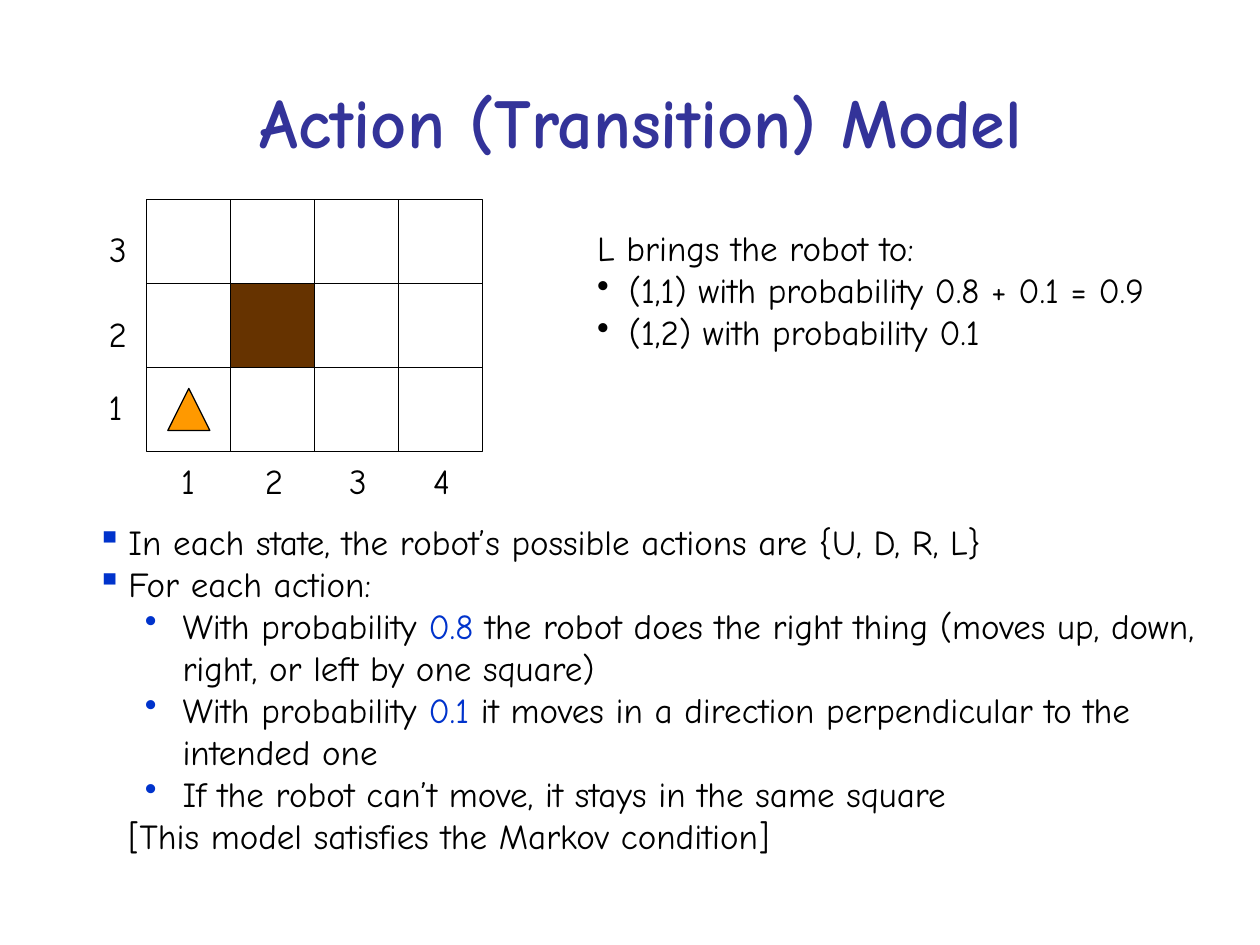
from dataclasses import dataclass
from typing import Any

from lxml import etree
from pptx import Presentation
from pptx.dml import color
from pptx.enum import shapes, text
from pptx.oxml import ns
from pptx.util import Cm, Pt


@dataclass(frozen=True)
class Theme:
    face: str = "Comic Neue"
    title_size: int = 40
    body_size: int = 20
    rule_width: float = 0.75
    title: str = "333399"
    ink: str = "000000"
    accent: str = "0033CC"
    obstacle: str = "663300"
    robot: str = "FF9900"


@dataclass(frozen=True)
class Box:
    left: float
    top: float
    width: float
    height: float

    def lengths(self) -> tuple[Cm, ...]:
        return tuple(Cm(v) for v in (self.left, self.top, self.width, self.height))


@dataclass(frozen=True)
class Label:
    words: str
    box: Box


@dataclass(frozen=True)
class Line:
    runs: tuple[tuple[str, str], ...]
    margin: float = 0.64
    hang: float = 0.64
    bullet: str = ""
    bullet_color: str = ""
    level: int = 0


THEME = Theme()
CELL = 2.54 * 2 / 3
COLUMNS, ROWS = 4, 3
GRID = Box(2.96, 4.02, COLUMNS * CELL, ROWS * CELL)
LABEL_HEIGHT = 1.11


def apply(target: Any, formats: dict[str, Any]) -> None:
    for key, value in formats.items():
        setattr(target, key, value)


def style_font(font: Any, size: int, ink: str, bold: bool = False) -> None:
    apply(font, {"name": THEME.face, "size": Pt(size), "bold": bold})
    font.color.rgb = color.RGBColor.from_string(ink)


def draw_shape(parent: Any, kind: Any, box: Box, fill: str = "") -> None:
    shape = parent.add_shape(kind, *box.lengths())
    shape.shadow.inherit = False
    if fill:
        shape.fill.solid()
        shape.fill.fore_color.rgb = color.RGBColor.from_string(fill)
    else:
        shape.fill.background()
    draw_outline(shape.line)


def draw_outline(outline: Any) -> None:
    outline.width = Pt(THEME.rule_width)
    outline.color.rgb = color.RGBColor.from_string(THEME.ink)


def draw_rule(parent: Any, x1: float, y1: float, x2: float, y2: float) -> None:
    rule = parent.add_connector(
        shapes.MSO_CONNECTOR.STRAIGHT, Cm(x1), Cm(y1), Cm(x2), Cm(y2)
    )
    draw_outline(rule.line)
    etree.SubElement(rule._element.spPr, ns.qn("a:effectLst"))


def format_line(paragraph: Any, line: Line) -> None:
    paragraph.level = line.level
    properties = paragraph._p.get_or_add_pPr()
    properties.set("marL", str(Cm(line.margin)))
    properties.set("indent", str(-Cm(line.hang)))
    if line.bullet:
        tint = etree.SubElement(properties, ns.qn("a:buClr"))
        etree.SubElement(tint, ns.qn("a:srgbClr"), val=line.bullet_color)
        etree.SubElement(properties, ns.qn("a:buChar"), char=line.bullet)
    for words, ink in line.runs:
        run = paragraph.add_run()
        run.text = words
        style_font(run.font, THEME.body_size, ink)


def draw_text(parent: Any, box: Box, lines: list[Line], wrap: bool = False) -> None:
    frame = parent.add_textbox(*box.lengths()).text_frame
    apply(frame, {"word_wrap": wrap, "auto_size": text.MSO_AUTO_SIZE.SHAPE_TO_FIT_TEXT})
    for index, line in enumerate(lines):
        format_line(frame.add_paragraph() if index else frame.paragraphs[0], line)


def plain(words: str, **options: Any) -> Line:
    return Line(((words, THEME.ink),), **options)


def draw_title(slide: Any, words: str) -> None:
    title = slide.shapes.title
    left, top, width, height = Box(1.7, 0.84, 22.43, 3.18).lengths()
    apply(title, {"left": left, "top": top, "width": width, "height": height})
    frame = title.text_frame
    formats = {
        "text": words,
        "vertical_anchor": text.MSO_ANCHOR.MIDDLE,
        "auto_size": text.MSO_AUTO_SIZE.NONE,
        "word_wrap": True,
    }
    apply(frame, formats)
    paragraph = frame.paragraphs[0]
    paragraph.alignment = text.PP_ALIGN.CENTER
    style_font(paragraph.runs[0].font, THEME.title_size, THEME.title, True)


def draw_grid(slide: Any) -> None:
    grid = slide.shapes.add_group_shape().shapes
    rectangle = shapes.MSO_SHAPE.RECTANGLE
    draw_shape(grid, rectangle, GRID)
    for column in range(1, COLUMNS):
        x = GRID.left + column * CELL
        draw_rule(grid, x, GRID.top, x, GRID.top + GRID.height)
    for row in range(1, ROWS):
        y = GRID.top + row * CELL
        draw_rule(grid, GRID.left, y, GRID.left + GRID.width, y)
    obstacle = Box(GRID.left + CELL, GRID.top + CELL, CELL, CELL)
    draw_shape(grid, rectangle, obstacle, THEME.obstacle)
    robot = Box(
        GRID.left + CELL / 4, GRID.top + (ROWS - 0.75) * CELL, CELL / 2, CELL / 2
    )
    draw_shape(slide.shapes, shapes.MSO_SHAPE.ISOSCELES_TRIANGLE, robot, THEME.robot)


def draw_labels(slide: Any) -> None:
    row_labels = [
        Label("3", Box(1.95, 4.47, 0.86, LABEL_HEIGHT)),
        Label("2", Box(1.94, 6.17, 0.86, LABEL_HEIGHT)),
        Label("1", Box(1.94, 7.65, 0.79, LABEL_HEIGHT)),
    ]
    widths = (0.79, 0.86, 0.86, 0.84)
    column_labels = [
        Label(str(i + 1), Box(3.4 + i * CELL, 9.14, width, LABEL_HEIGHT))
        for i, width in enumerate(widths)
    ]
    group = slide.shapes.add_group_shape().shapes
    for label in row_labels + column_labels:
        draw_text(group, label.box, [plain(label.words, margin=0, hang=0)])


def main() -> None:
    deck = Presentation()
    apply(deck, {"slide_width": Cm(25.4), "slide_height": Cm(19.05)})
    slide = deck.slides.add_slide(deck.slide_layouts[5])
    draw_title(slide, "Action (Transition) Model")
    draw_grid(slide)

    square = {"bullet": "▪", "bullet_color": THEME.accent}
    nested = {
        "bullet": "•",
        "bullet_color": THEME.accent,
        "margin": 1.73,
        "hang": 0.76,
        "level": 1,
    }
    ink, accent = THEME.ink, THEME.accent
    right_move = (
        ("With probability ", ink),
        ("0.8", accent),
        (" the robot does the right thing (moves up, down, right, or left by one square)", ink),
    )
    side_move = (
        ("With probability ", ink),
        ("0.1", accent),
        (" it moves in a direction perpendicular to the intended one", ink),
    )
    model = [
        plain("In each state, the robot’s possible actions are {U, D, R, L}", **square),
        plain("For each action:", **square),
        Line(right_move, **nested),
        Line(side_move, **nested),
        plain("If the robot can’t move, it stays in the same square", **nested),
        plain("[This model satisfies the Markov condition]", hang=0),
    ]
    draw_text(slide.shapes, Box(1.7, 10.36, 22.86, 7.04), model, wrap=True)
    draw_labels(slide)

    dot = {"bullet": "•", "bullet_color": THEME.ink}
    outcomes = [
        plain("L brings the robot to:"),
        plain("(1,1) with probability 0.8 + 0.1 = 0.9", **dot),
        plain("(1,2) with probability 0.1", **dot),
    ]
    draw_text(slide.shapes, Box(11.79, 4.45, 11.56, 2.79), outcomes)
    deck.save("out.pptx")


if __name__ == "__main__":
    main()
